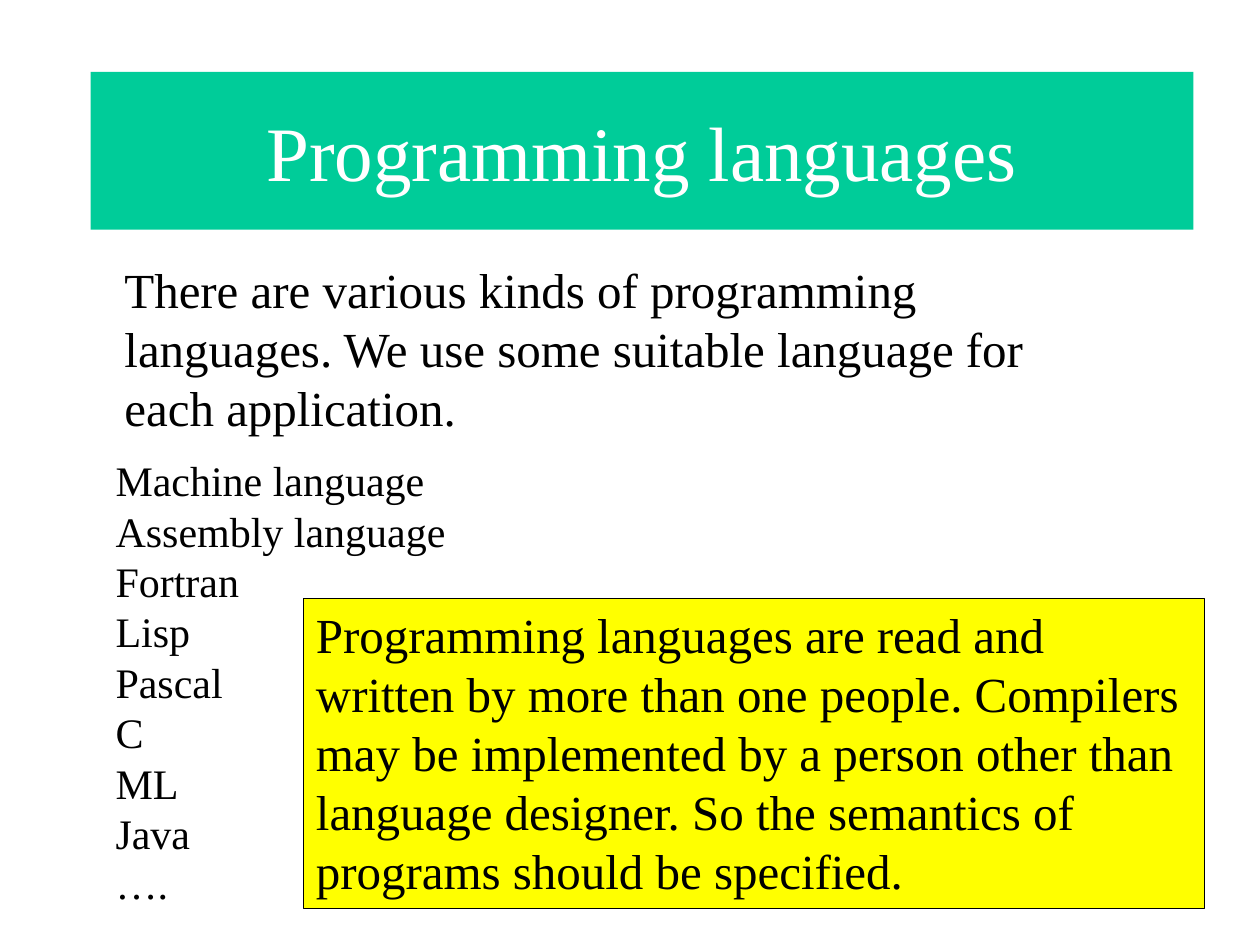
"""Build a slide introducing programming languages."""
from pptx import Presentation
from pptx.dml.color import RGBColor
from pptx.enum.shapes import MSO_SHAPE
from pptx.enum.text import MSO_ANCHOR, PP_ALIGN
from pptx.util import Cm, Pt

FONT = "Times New Roman"
COLORS = {"banner": "00CC99", "note": "FFFF00", "text": "000000", "title": "FFFFFF"}

TITLE = ["Programming languages"]
INTRODUCTION = [
    "There are various kinds of programming languages. "
    "We use some suitable language for each application."
]
LANGUAGES = [
    "Machine language", "Assembly language", "Fortran", "Lisp", "Pascal",
    "C", "ML", "Java", "….",
]
NOTE = [
    "Programming languages are read and written by more than one people. "
    "Compilers may be implemented by a person other than language designer. "
    "So the semantics of programs should be specified."
]


def color(name):
    return RGBColor.from_string(COLORS[name])


def write(box, lines, size, ink="text", align=PP_ALIGN.LEFT, anchor=MSO_ANCHOR.TOP):
    frame = box.text_frame
    frame.word_wrap = True
    frame.vertical_anchor = anchor
    for index, line in enumerate(lines):
        paragraph = frame.paragraphs[0] if index == 0 else frame.add_paragraph()
        paragraph.alignment = align
        span = paragraph.add_run()
        span.text = line
        span.font.name = FONT
        span.font.size = Pt(size)
        span.font.color.rgb = color(ink)


def add_panel(page, place, fill, outline=None):
    panel = page.shapes.add_shape(MSO_SHAPE.RECTANGLE, *map(Cm, place))
    panel.shadow.inherit = False
    panel.fill.solid()
    panel.fill.fore_color.rgb = color(fill)
    if outline:
        panel.line.color.rgb = color(outline)
        panel.line.width = Pt(0.75)
    else:
        panel.line.fill.background()
    return panel


def main():
    deck = Presentation()
    deck.slide_width, deck.slide_height = Cm(25.4), Cm(19.05)
    page = deck.slides.add_slide(deck.slide_layouts[6])

    banner = add_panel(page, (1.83, 1.45, 22.23, 3.18), "banner")
    write(banner, TITLE, 44, "title", PP_ALIGN.CENTER, MSO_ANCHOR.MIDDLE)

    introduction = page.shapes.add_textbox(Cm(2.26), Cm(5.11), Cm(20.3), Cm(3.84))
    write(introduction, INTRODUCTION, 28)

    languages = page.shapes.add_textbox(Cm(2.08), Cm(9.04), Cm(7.6), Cm(9.5))
    write(languages, LANGUAGES, 24)

    note = add_panel(page, (6.12, 12.07, 18.16, 6.25), "note", "text")
    write(note, NOTE, 28)

    deck.save("out.pptx")


if __name__ == "__main__":
    main()
